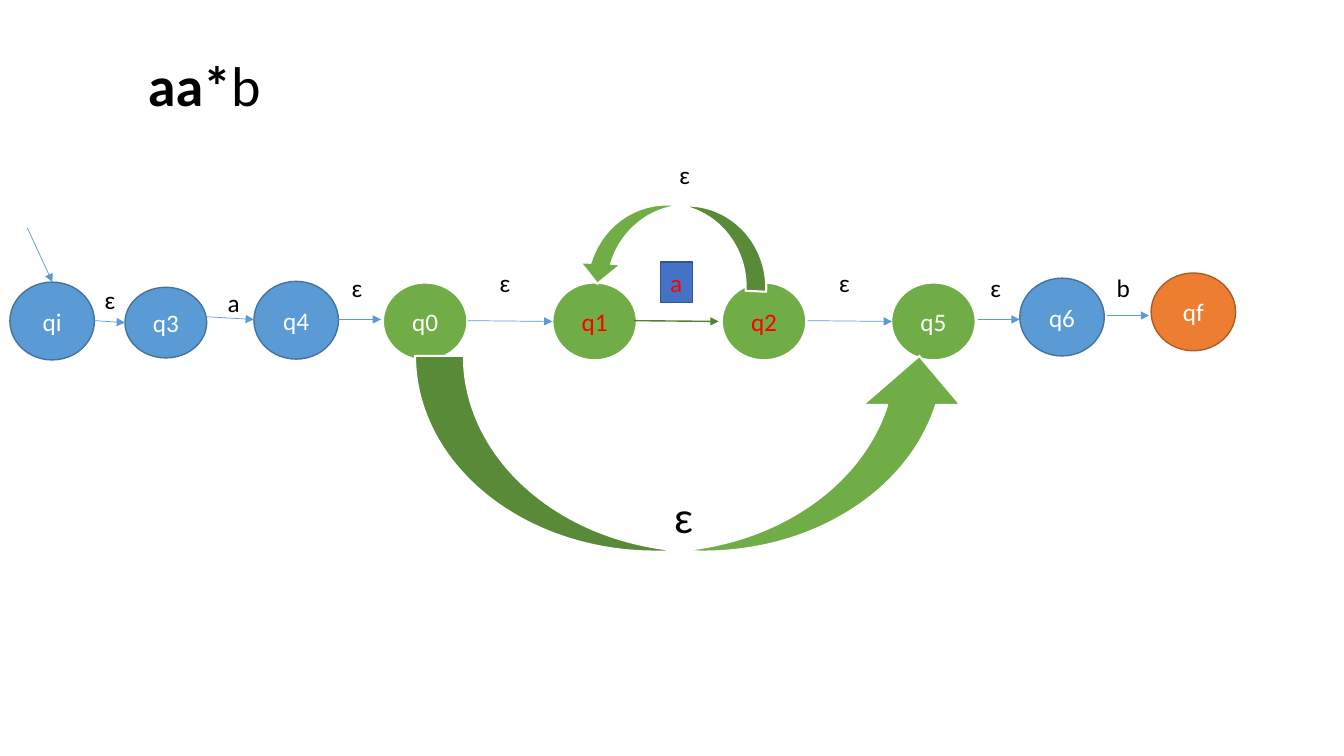
"""Build a slide with the epsilon automaton for the expression aa*b."""
from dataclasses import dataclass

from lxml import etree
from pptx import Presentation
from pptx.dml.color import RGBColor as Color
from pptx.enum.shapes import MSO_CONNECTOR as Connector, MSO_SHAPE as Shape
from pptx.enum.text import MSO_ANCHOR as Anchor, MSO_AUTO_SIZE as AutoSize, PP_ALIGN as Align
from pptx.oxml.ns import qn
from pptx.util import Cm, Pt


@dataclass(frozen=True)
class Theme:
    font: str = "Calibri"
    title_size: int = 40
    skip_size: int = 32
    body_size: int = 18
    black: str = "000000"
    white: str = "FFFFFF"
    red: str = "FF0000"
    green: str = "70AD47"
    dark_green: str = "538035"
    blue: str = "5B9BD5"
    blue_edge: str = "43739E"
    orange: str = "ED7D31"
    orange_edge: str = "AF5C24"
    box: str = "4472C4"
    box_edge: str = "325491"


theme = Theme()


def add_run(paragraph, text, size, color, bold=False):
    run = paragraph.add_run()
    run.text = text
    run.font.name = theme.font
    run.font.size = Pt(size)
    run.font.bold = bold
    run.font.color.rgb = Color.from_string(color)


def add_filled(kind, bounds, fill, edge, edge_width):
    shape = slide.shapes.add_shape(kind, *map(Cm, bounds))
    shape.shadow.inherit = False
    shape.fill.solid()
    shape.fill.fore_color.rgb = Color.from_string(fill)
    shape.line.color.rgb = Color.from_string(edge)
    shape.line.width = Pt(edge_width)
    return shape


presentation = Presentation()
presentation.slide_width = Cm(33.87)
presentation.slide_height = Cm(19.05)
slide = presentation.slides.add_slide(presentation.slide_layouts[6])

blue_style = (theme.blue, theme.blue_edge, 1)
green_style = (theme.green, theme.white, 1.5)
orange_style = (theme.orange, theme.orange_edge, 1)
wide, narrow = (2.13, 1.96), (2.06, 1.78)
loop_left, loop_step = 9.65, 4.27

states = [
    ("qi", 0.25, 7.11, wide, blue_style, theme.white),
    ("q3", 3.15, 7.24, narrow, blue_style, theme.white),
    ("q4", 6.4, 7.09, wide, blue_style, theme.white),
    ("q0", loop_left, 7.12, wide, green_style, theme.white),
    ("q1", loop_left + loop_step, 7.12, wide, green_style, theme.red),
    ("q2", loop_left + 2 * loop_step, 7.12, wide, green_style, theme.red),
    ("q5", loop_left + 3 * loop_step, 7.12, wide, green_style, theme.white),
    ("q6", 25.7, 7.01, wide, blue_style, theme.white),
    ("qf", 29.01, 6.88, wide, orange_style, theme.white),
]
for name, left, top, size, style, color in states:
    state = add_filled(Shape.OVAL, (left, top, *size), *style)
    state.text_frame.vertical_anchor = Anchor.MIDDLE
    paragraph = state.text_frame.paragraphs[0]
    paragraph.alignment = Align.CENTER
    add_run(paragraph, name, theme.body_size, color)

thin, strong = (theme.blue, 0.5), (theme.dark_green, 1)
transitions = [
    (0.69, 5.74, 1.32, 7.11, thin),
    (2.39, 8.08, 3.15, 8.13, thin),
    (5.18, 7.98, 6.4, 8.05, thin),
    (8.53, 8.05, 9.6, 8.05, thin),
    (11.79, 8.08, 13.92, 8.1, thin),
    (15.98, 8.08, 18.11, 8.1, strong),
    (20.35, 8.08, 22.48, 8.1, thin),
    (24.64, 8.05, 25.7, 8.05, thin),
    (27.89, 7.95, 28.96, 7.95, thin),
]
for *ends, (color, width) in transitions:
    transition = slide.shapes.add_connector(Connector.STRAIGHT, *map(Cm, ends))
    transition.line.color.rgb = Color.from_string(color)
    transition.line.width = Pt(width)
    etree.SubElement(transition.line._get_or_add_ln(), qn("a:tailEnd"), type="triangle")
    etree.SubElement(transition._element.spPr, qn("a:effectLst"))

repeat_arrow = add_filled(Shape.CURVED_UP_ARROW, (14.58, 5.16, 4.78, 2.08), *green_style)
repeat_arrow.rotation = 182.7
add_filled(Shape.CURVED_UP_ARROW, (10.46, 8.97, 13.94, 4.93), *green_style)

letter_box = add_filled(Shape.RECTANGLE, (16.64, 6.6, 0.81, 1.02), theme.box, theme.box_edge, 1)
letter_box.text_frame.word_wrap = False
letter_box.text_frame.auto_size = AutoSize.SHAPE_TO_FIT_TEXT
letter_box.text_frame.vertical_anchor = Anchor.TOP
letter_box.text_frame.paragraphs[0].alignment = Align.LEFT
add_run(letter_box.text_frame.paragraphs[0], "a", theme.body_size, theme.red)

small = (0.79, 1.02)
labels = [
    ([("aa*", True), ("b", False)], 3.48, 1.14, (3.35, 1.8), theme.title_size),
    ([("ɛ", False)], 2.39, 7.04, small, theme.body_size),
    ([("a", False)], 5.49, 7.11, small, theme.body_size),
    ([("ɛ", False)], 8.61, 6.73, small, theme.body_size),
    ([("ɛ", False)], 12.34, 6.6, small, theme.body_size),
    ([("ɛ", False)], 16.87, 3.89, small, theme.body_size),
    ([("ɛ", False)], 20.9, 6.6, small, theme.body_size),
    ([("ɛ", False)], 24.71, 6.73, small, theme.body_size),
    ([("b", False)], 27.89, 6.73, (0.86, 1.02), theme.body_size),
    ([("ɛ", False)], 16.74, 12.19, (0.99, 1.63), theme.skip_size),
]
for runs, left, top, extent, size in labels:
    label = slide.shapes.add_textbox(*map(Cm, (left, top, *extent)))
    label.text_frame.word_wrap = False
    label.text_frame.auto_size = AutoSize.SHAPE_TO_FIT_TEXT
    for text, bold in runs:
        add_run(label.text_frame.paragraphs[0], text, size, theme.black, bold)

presentation.save("out.pptx")
